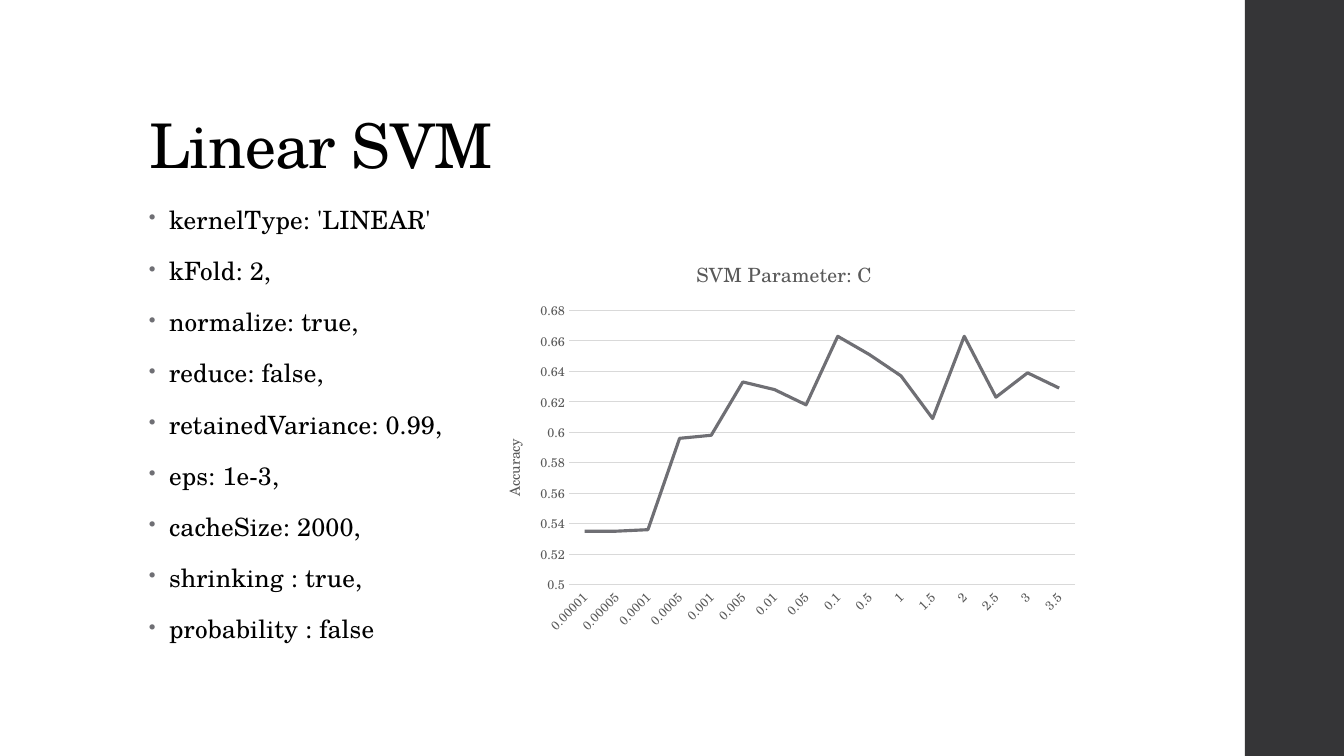
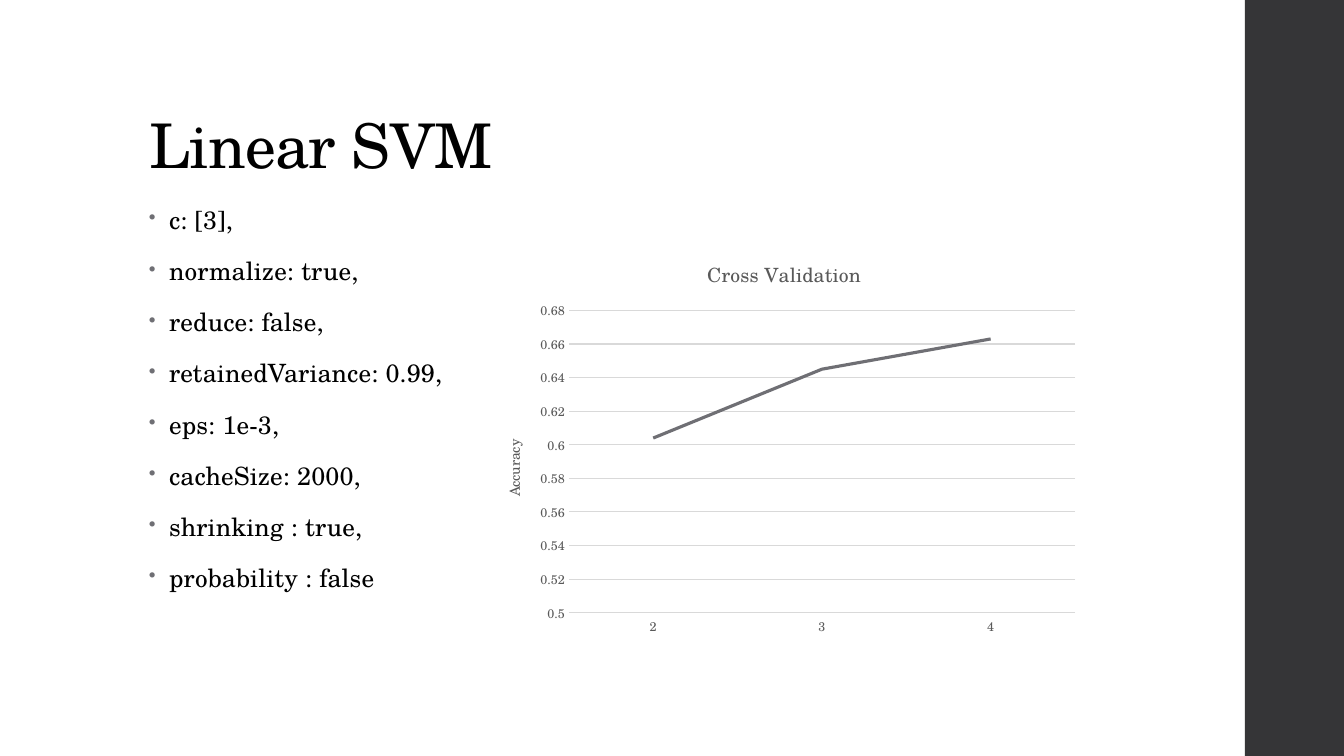
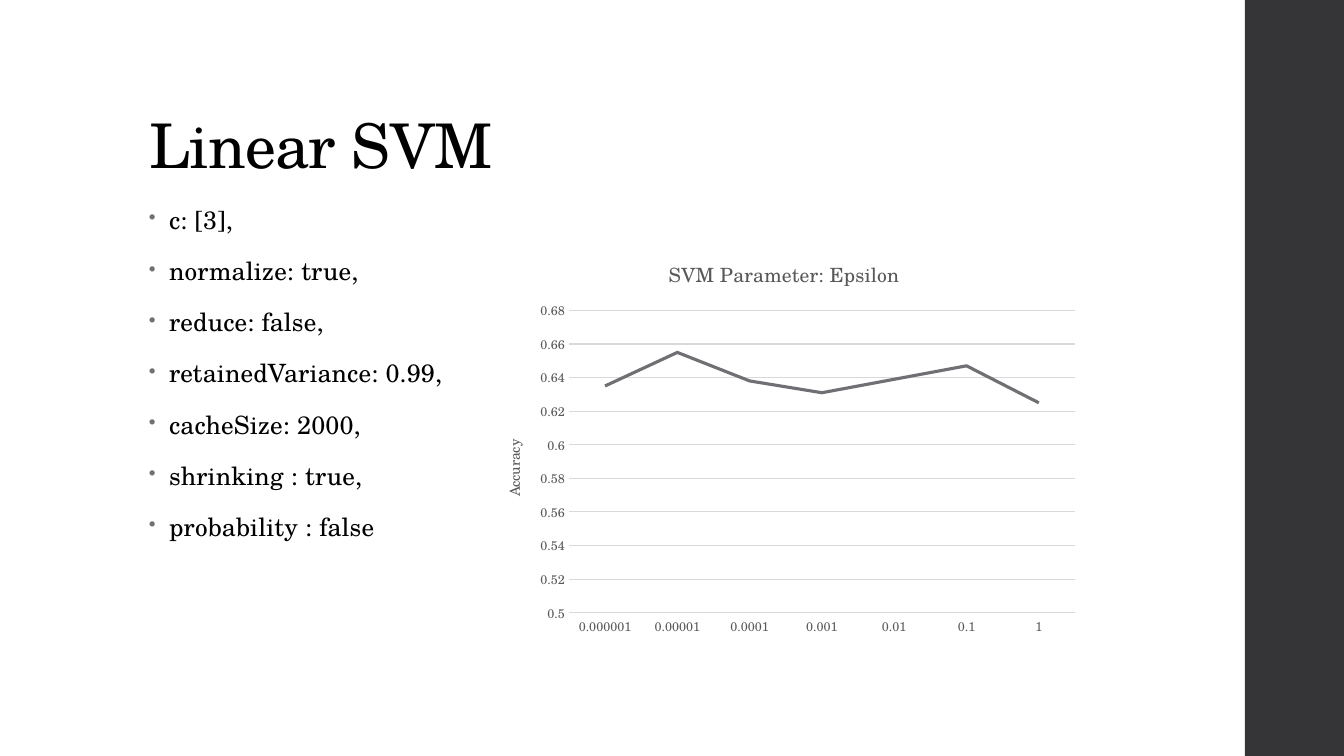
from lxml import etree
from pptx import Presentation
from pptx.chart.data import CategoryChartData
from pptx.dml.color import RGBColor
from pptx.enum.chart import XL_CHART_TYPE, XL_TICK_MARK
from pptx.enum.shapes import MSO_SHAPE
from pptx.enum.text import MSO_ANCHOR, PP_ALIGN
from pptx.oxml.ns import qn
from pptx.util import Pt

LINE_CHART = XL_CHART_TYPE.LINE
NO_TICK = XL_TICK_MARK.NONE
RECTANGLE = MSO_SHAPE.RECTANGLE
TOP, BOTTOM = MSO_ANCHOR.TOP, MSO_ANCHOR.BOTTOM
LEFT = PP_ALIGN.LEFT

FONT = "TeX Gyre Schola"
BLACK = RGBColor(0x00, 0x00, 0x00)
WHITE = RGBColor(0xFF, 0xFF, 0xFF)
BAND = RGBColor(0x35, 0x35, 0x37)
ACCENT = RGBColor(0x6F, 0x6F, 0x74)
LABEL = RGBColor(0x59, 0x59, 0x59)
GRID = RGBColor(0xD9, 0xD9, 0xD9)

# Left, top, width, height in points
SLIDE_WIDTH, SLIDE_HEIGHT = 960, 540
BAND_BOX = (889.2, 0, 72, SLIDE_HEIGHT)
TITLE_BOX = (99.36, 28.8, 763.2, 104.4)
BODY_BOX = (99.36, 144, 676.8, 342.72)
CHART_BOX = (344.16, 171.36, 432, 288)
BULLET_INDENT = 14.4

TITLE = "Linear SVM"
VALUE_TITLE = "Accuracy"
SLIDES = [
    {
        "settings": ["kernelType: 'LINEAR'", "kFold: 2,", "normalize: true,",
                     "reduce: false,", "retainedVariance: 0.99,", "eps: 1e-3,",
                     "cacheSize: 2000,", "shrinking : true,",
                     "probability : false"],
        "chart_title": "SVM Parameter: C",
        "series": "Series 1",
        "accuracy": {
            "0.00001": 0.535, "0.00005": 0.535, "0.0001": 0.536,
            "0.0005": 0.596, "0.001": 0.598, "0.005": 0.633, "0.01": 0.628,
            "0.05": 0.618, "0.1": 0.663, "0.5": 0.651, "1": 0.637,
            "1.5": 0.609, "2": 0.663, "2.5": 0.623, "3": 0.639, "3.5": 0.629,
        },
        "label_angle": -45,
        "plot_height": 0.68,
    },
    {
        "settings": ["c: [3],", "normalize: true,", "reduce: false,",
                     "retainedVariance: 0.99,", "eps: 1e-3,",
                     "cacheSize: 2000,", "shrinking : true,",
                     "probability : false"],
        "chart_title": "Cross Validation",
        "series": "Cross Validation",
        "accuracy": {"2": 0.604, "3": 0.645, "4": 0.663},
        "label_angle": 0,
        "plot_height": 0.75,
    },
    {
        "settings": ["c: [3],", "normalize: true,", "reduce: false,",
                     "retainedVariance: 0.99,", "cacheSize: 2000,",
                     "shrinking : true,", "probability : false"],
        "chart_title": "SVM Parameter: Epsilon",
        "series": "Series 1",
        "accuracy": {"0.000001": 0.635, "0.00001": 0.655, "0.0001": 0.638,
                     "0.001": 0.631, "0.01": 0.639, "0.1": 0.647, "1": 0.625},
        "label_angle": 0,
        "plot_height": 0.75,
    },
]


def points(box):
    """Turn a box of plain numbers into lengths."""
    return [Pt(value) for value in box]


def style_font(font, size, color):
    """Set typeface, size and colour, without bold."""
    font.name = FONT
    font.size = Pt(size)
    font.bold = False
    font.color.rgb = color


def add_run(paragraph, text, size, color, tracking=0):
    """Add one styled run; tracking is in hundredths of a point."""
    run = paragraph.add_run()
    run.text = text
    style_font(run.font, size, color)
    if tracking:
        run.font._element.set("spc", str(tracking))


def add_bullet(paragraph):
    """Give a paragraph a small grey hanging bullet."""
    properties = paragraph._p.get_or_add_pPr()
    indent = Pt(BULLET_INDENT)
    properties.set("marL", str(indent))
    properties.set("indent", str(-indent))
    color = etree.SubElement(properties, qn("a:buClr"))
    etree.SubElement(color, qn("a:srgbClr"), val=str(ACCENT))
    etree.SubElement(properties, qn("a:buSzPct"), val="80000")
    etree.SubElement(properties, qn("a:buChar"), char="•")


def add_band(slide, layout):
    """Draw the dark side band and hand it to the shared layout."""
    band = slide.shapes.add_shape(RECTANGLE, *points(BAND_BOX))
    band.shadow.inherit = False
    band.fill.solid()
    band.fill.fore_color.rgb = BAND
    band.line.fill.background()
    layout.shapes.element.append(band.element)


def set_title(slide):
    """Place and fill the title placeholder."""
    title = slide.shapes.title
    title.left, title.top, title.width, title.height = points(TITLE_BOX)
    frame = title.text_frame
    frame.word_wrap = True
    frame.vertical_anchor = BOTTOM
    paragraph = frame.paragraphs[0]
    paragraph.alignment = LEFT
    paragraph.line_spacing = 0.9
    add_run(paragraph, TITLE, 44, BLACK, -50)


def add_settings(slide, settings):
    """Add the bulleted list of classifier settings."""
    frame = slide.shapes.add_textbox(*points(BODY_BOX)).text_frame
    frame.word_wrap = True
    frame.vertical_anchor = TOP
    for index, setting in enumerate(settings):
        paragraph = frame.add_paragraph() if index else frame.paragraphs[0]
        paragraph.line_spacing = 0.95
        paragraph.space_before = Pt(14)
        paragraph.space_after = Pt(2)
        add_bullet(paragraph)
        add_run(paragraph, setting, 18, BLACK, 10)


def set_plot_area(chart, height):
    """Fix the inner plot area as fractions of the chart."""
    plot_area = chart.element.find(".//" + qn("c:plotArea"))
    layout = plot_area.find(qn("c:layout"))
    if layout is None:
        layout = etree.Element(qn("c:layout"))
        plot_area.insert(0, layout)
    manual = etree.SubElement(layout, qn("c:manualLayout"))
    parts = (("layoutTarget", "inner"), ("xMode", "edge"), ("yMode", "edge"),
             ("x", 0.144), ("y", 0.175), ("w", 0.837), ("h", height))
    for name, value in parts:
        etree.SubElement(manual, qn("c:" + name), val=str(value))


def style_axes(chart, label_angle):
    """Format the category and value axes."""
    category_axis, value_axis = chart.category_axis, chart.value_axis
    for axis in (category_axis, value_axis):
        axis.major_tick_mark = axis.minor_tick_mark = NO_TICK
        style_font(axis.tick_labels.font, 9, LABEL)
    category_axis.format.line.color.rgb = GRID
    category_axis.format.line.width = Pt(0.75)
    category_element = chart.element.find(".//" + qn("c:catAx"))
    label_body = category_element.find(qn("c:txPr")).find(qn("a:bodyPr"))
    label_body.set("rot", str(label_angle * 60000))

    value_axis.minimum_scale, value_axis.maximum_scale = 0.5, 0.68
    value_axis.major_unit = 0.02
    value_axis.format.line.fill.background()
    value_axis.major_gridlines.format.line.color.rgb = GRID
    value_axis.major_gridlines.format.line.width = Pt(0.75)
    value_axis.tick_labels.number_format = "General"
    value_axis.tick_labels.number_format_is_linked = False
    title_frame = value_axis.axis_title.text_frame
    add_run(title_frame.paragraphs[0], VALUE_TITLE, 10, LABEL)
    title_body = title_frame._txBody.find(qn("a:bodyPr"))
    title_body.set("rot", str(-90 * 60000))
    title_body.set("vert", "horz")


def add_accuracy_chart(slide, content):
    """Add the line chart of accuracy per parameter value."""
    data = CategoryChartData()
    data.categories = list(content["accuracy"])
    data.add_series(content["series"], list(content["accuracy"].values()))
    chart = slide.shapes.add_chart(LINE_CHART, *points(CHART_BOX), data).chart
    style_font(chart.font, 10, BLACK)
    chart.has_legend = False
    chart.has_title = True
    heading = chart.chart_title.text_frame.paragraphs[0]
    add_run(heading, content["chart_title"], 14, LABEL)
    chart.chart_title.include_in_layout = False

    plot = chart.plots[0]
    plot.vary_by_categories = False
    series = plot.series[0]
    series.smooth = False
    series.format.line.color.rgb = ACCENT
    series.format.line.width = Pt(2.25)
    style_axes(chart, content["label_angle"])
    set_plot_area(chart, content["plot_height"])


def main():
    """Build the presentation."""
    presentation = Presentation()
    presentation.slide_width = Pt(SLIDE_WIDTH)
    presentation.slide_height = Pt(SLIDE_HEIGHT)
    background = presentation.slide_master.background.fill
    background.solid()
    background.fore_color.rgb = WHITE
    layout = presentation.slide_layouts[5]
    for index, content in enumerate(SLIDES):
        slide = presentation.slides.add_slide(layout)
        if index == 0:
            add_band(slide, layout)
        set_title(slide)
        add_settings(slide, content["settings"])
        add_accuracy_chart(slide, content)
    presentation.save("out.pptx")


main()
